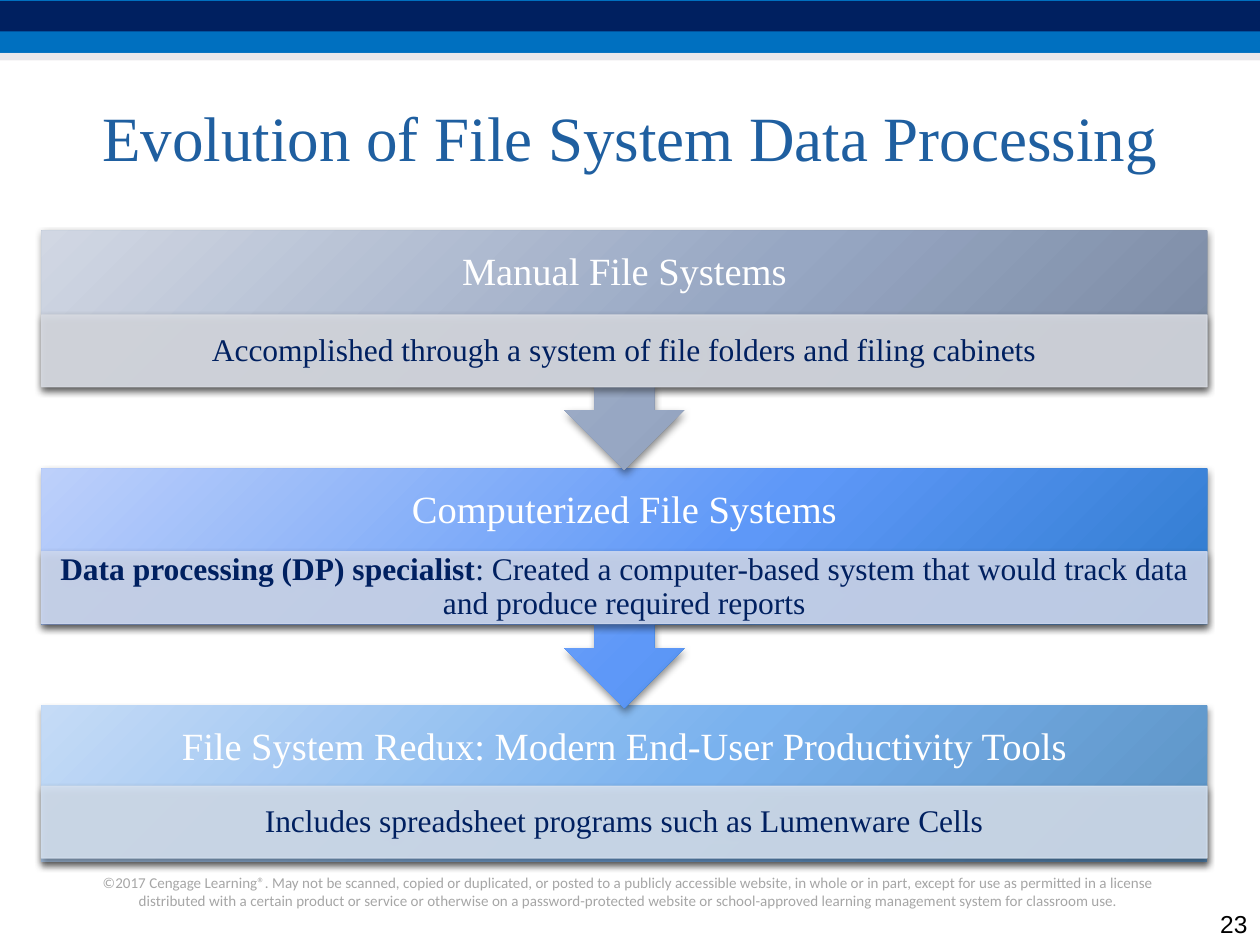
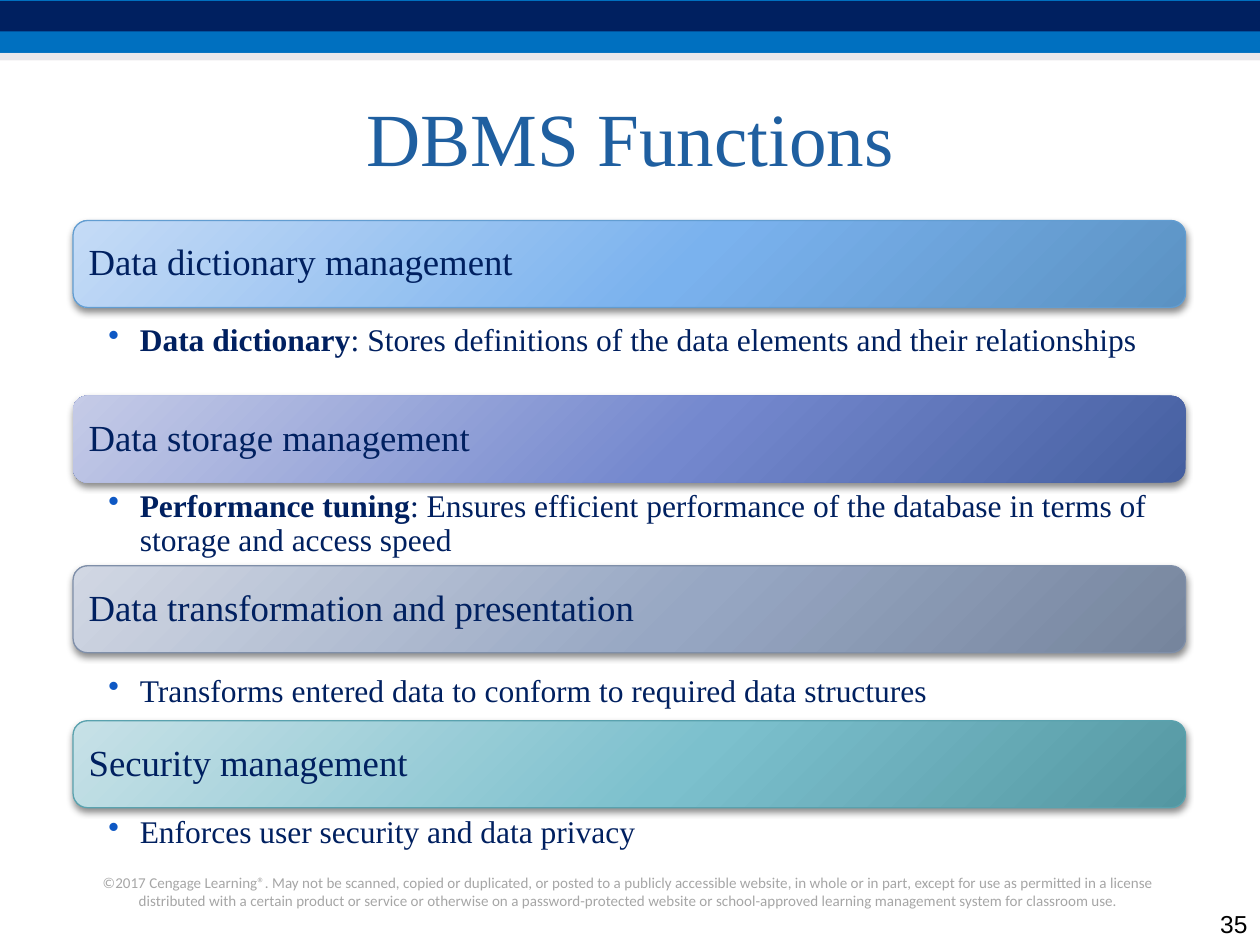
import pptx
import pptx.util
import pptx.oxml
import pptx.oxml.ns
from lxml import etree
from pptx.dml.color import RGBColor
from pptx.enum.shapes import MSO_SHAPE
from pptx.enum.text import MSO_ANCHOR, MSO_AUTO_SIZE, PP_ALIGN
from pptx.util import Inches

qn = pptx.oxml.ns.qn

BLACK = RGBColor(0x00, 0x00, 0x00)
WHITE = RGBColor(0xFF, 0xFF, 0xFF)
NAVY = RGBColor(0x00, 0x20, 0x60)
BAND_BLUE = RGBColor(0x00, 0x70, 0xC0)
BAND_GREY = RGBColor(0xD8, 0xD3, 0xD9)
TITLE_BLUE = RGBColor(0x1F, 0x5F, 0xA0)
BULLET_BLUE = RGBColor(0x0E, 0x58, 0xC4)
FOOTER_GREY = RGBColor(0xA6, 0xA6, 0xA6)
SLATE_EDGE = RGBColor(0x7F, 0x8F, 0xA9)
SKY_EDGE = RGBColor(0x62, 0x9D, 0xD1)
TEAL_EDGE = RGBColor(0x5A, 0xA2, 0xAE)
SLATE_PALE = RGBColor(0xD8, 0xDB, 0xE2)
BLUE_PALE = RGBColor(0xCD, 0xD8, 0xEF)
SKY_PALE = RGBColor(0xD3, 0xDF, 0xEE)

# Gradients: light, middle and dark colour
SLATE = [RGBColor(0xD1, 0xD7, 0xE3), RGBColor(0x97, 0xA7, 0xC3), RGBColor(0x76, 0x85, 0x9D)]
BLUE = [RGBColor(0xBD, 0xD0, 0xFA), RGBColor(0x5E, 0x98, 0xF8), RGBColor(0x26, 0x76, 0xC6)]
SKY = [RGBColor(0xC5, 0xDB, 0xF6), RGBColor(0x7A, 0xB2, 0xEE), RGBColor(0x5B, 0x92, 0xC3)]
INDIGO = [RGBColor(0xC5, 0xCB, 0xE7), RGBColor(0x74, 0x88, 0xCE), RGBColor(0x45, 0x5F, 0xA0)]
TEAL = [RGBColor(0xC7, 0xE1, 0xE7), RGBColor(0x7C, 0xC0, 0xCD), RGBColor(0x54, 0x97, 0xA2)]

SERIF = "Times New Roman"


def add_block(slide, preset, at, fill, line=None, opacity=100, shadow=True):
    """Add a shape filled with one colour or, for a list, a corner-lit gradient."""
    shape = slide.shapes.add_shape(preset, *map(Inches, at))
    properties = shape.element.spPr
    if isinstance(fill, RGBColor):
        shape.fill.solid()
        shape.fill.fore_color.rgb = fill
    else:
        stops = "".join(
            f'<a:gs pos="{place * 1000}"><a:srgbClr val="{color}"/></a:gs>'
            for place, color in zip((0, 55, 100), fill))
        shape.fill.background()
        properties.replace(properties.find(qn("a:noFill")), pptx.oxml.parse_xml(
            f'<a:gradFill {pptx.oxml.ns.nsdecls("a")} rotWithShape="1">'
            f'<a:gsLst>{stops}</a:gsLst><a:path path="circle">'
            '<a:fillToRect l="-40000" t="-90000" r="140000" b="190000"/>'
            '</a:path></a:gradFill>'))
    if line is None:
        shape.line.fill.background()
    else:
        shape.line.color.rgb = line
        shape.line.width = pptx.util.Pt(0.75)
    if opacity < 100:
        for color in properties.iter(qn("a:srgbClr")):
            etree.SubElement(color, qn("a:alpha"), val=str(opacity * 1000))
    shape.shadow.inherit = False
    if shadow:
        outer = etree.SubElement(
            properties.find(qn("a:effectLst")), qn("a:outerShdw"), blurRad="50800",
            dist="25400", dir="5400000", algn="ctr", rotWithShape="0")
        black = etree.SubElement(outer, qn("a:srgbClr"), val=str(BLACK))
        etree.SubElement(black, qn("a:alpha"), val="45000")
    return shape


def add_text(box, text, size, color, font=SERIF, align=PP_ALIGN.CENTER,
             anchor=MSO_ANCHOR.MIDDLE, margins=(0.1, 0.05, 0.1, 0.05),
             spacing=1, after=0, bold="", bullet=False):
    """Fill a box with one paragraph: an optional bold lead-in, then the text."""
    frame = box.text_frame
    frame.word_wrap = True
    frame.auto_size = MSO_AUTO_SIZE.NONE
    frame.vertical_anchor = anchor
    (frame.margin_left, frame.margin_top,
     frame.margin_right, frame.margin_bottom) = map(Inches, margins)
    para = frame.paragraphs[0]
    para.alignment = align
    para.line_spacing = spacing
    para.space_after = pptx.util.Pt(size * after)
    if bullet:
        layout = para._p.get_or_add_pPr()
        layout.set("marL", str(Inches(0.25)))
        layout.set("indent", str(-Inches(0.25)))
        bullet_color = etree.SubElement(layout, qn("a:buClr"))
        etree.SubElement(bullet_color, qn("a:srgbClr"), val=str(BULLET_BLUE))
        etree.SubElement(layout, qn("a:buChar"), char="•")
    for words, heavy in ((bold, True), (text, False)):
        if words:
            span = para.add_run()
            span.text = words
            span.font.name = font
            span.font.size = pptx.util.Pt(size)
            span.font.bold = heavy
            span.font.color.rgb = color


deck = pptx.Presentation()
deck.slide_width = Inches(10)
deck.slide_height = Inches(7.5)
title_layout = deck.slide_layouts[5]

pages = []
for title, title_size, number in (
        ("Evolution of File System Data Processing", 36, "23"),
        ("DBMS Functions", 42.9, "35")):
    page = deck.slides.add_slide(title_layout)
    heading = page.shapes.title
    heading.left, heading.top, heading.width, heading.height = map(
        Inches, (0.5, 0.5, 9, 1.17))
    add_text(heading, title, title_size, TITLE_BLUE)
    number_box = page.shapes.add_textbox(*map(Inches, (9.5, 7.17, 0.5, 0.33)))
    add_text(number_box, number, 14, BLACK, "Arial", PP_ALIGN.RIGHT, MSO_ANCHOR.BOTTOM)
    pages.append(page)
evolution, functions = pages

# Bands and copyright line, moved to the layout so that both slides show them
shared = [
    add_block(evolution, MSO_SHAPE.RECTANGLE, (0, top, 10, height), color,
              opacity=opacity, shadow=False)
    for top, height, color, opacity in (
        (0, 0.42, BAND_BLUE, 100), (0.01, 0.24, NAVY, 100), (0.42, 0.06, BAND_GREY, 50))]
footer = evolution.shapes.add_textbox(*map(Inches, (0.58, 6.88, 8.83, 0.39)))
add_text(footer, "©2017 Cengage Learning®. May not be scanned, copied or duplicated, or posted "
         "to a publicly accessible website, in whole or in part, except for use as permitted "
         "in a license distributed with a certain product or service or otherwise on a "
         "password-protected website or school-approved learning management system for "
         "classroom use.", 8.6, FOOTER_GREY, "Calibri", anchor=MSO_ANCHOR.TOP)
for shape in shared + [footer]:
    title_layout.shapes.element.append(shape.element)

# Three stages, drawn from the last up so that each arrow overlaps the next stage
LEFT, WIDTH = 0.33, 9.25
CALLOUT = MSO_SHAPE.DOWN_ARROW_CALLOUT
for preset, top, height, detail_top, gradient, pale, stage, lead, detail in (
        (MSO_SHAPE.RECTANGLE, 5.6, 1.24, 6.24, SKY, SKY_PALE,
         "File System Redux: Modern End-User Productivity Tools", "",
         "Includes spreadsheet programs such as Lumenware Cells"),
        (CALLOUT, 3.72, 1.9, 4.38, BLUE, BLUE_PALE,
         "Computerized File Systems", "Data processing (DP) specialist",
         ": Created a computer-based system that would track data and produce "
         "required reports"),
        (CALLOUT, 1.83, 1.9, 2.5, SLATE, SLATE_PALE,
         "Manual File Systems", "",
         "Accomplished through a system of file folders and filing cabinets")):
    add_block(evolution, preset, (LEFT, top, WIDTH, height), gradient)
    stage_box = evolution.shapes.add_textbox(*map(Inches, (LEFT, top, WIDTH, 0.67)))
    add_text(stage_box, stage, 22, WHITE, margins=(0.17,) * 4, spacing=0.9, after=0.35)
    detail_box = add_block(evolution, MSO_SHAPE.RECTANGLE, (LEFT, detail_top, WIDTH, 0.57),
                           pale, line=pale, opacity=90)
    add_text(detail_box, detail, 18, NAVY, margins=(0.14, 0.03, 0.14, 0.03),
             spacing=0.9, after=0.35, bold=lead)

# Four functions, each a bar with one bullet below
LEFT, WIDTH = 0.58, 8.83
for top, bullet_top, bullet_height, gradient, edge, function, lead, detail in (
        (1.75, 2.54, 0.63, SKY, SKY_EDGE, "Data dictionary management", "Data dictionary",
         ": Stores definitions of the data elements and their relationships"),
        (3.14, 3.86, 0.63, INDIGO, None, "Data storage management", "Performance tuning",
         ": Ensures efficient performance of the database in terms of storage and "
         "access speed"),
        (4.49, 5.33, 0.47, SLATE, SLATE_EDGE, "Data transformation and presentation", "",
         "Transforms entered data to conform to required data structures"),
        (5.72, 6.45, 0.47, TEAL, TEAL_EDGE, "Security management", "",
         "Enforces user security and data privacy")):
    bar = add_block(functions, MSO_SHAPE.ROUNDED_RECTANGLE, (LEFT, top, WIDTH, 0.69),
                    gradient, line=edge)
    # The preset insets its text by the corner radius; these margins leave 0.12 in all
    add_text(bar, function, 21, NAVY, align=PP_ALIGN.LEFT, margins=(0.09,) * 4,
             spacing=0.9, after=0.35)
    bullet_box = functions.shapes.add_textbox(
        *map(Inches, (LEFT, bullet_top, WIDTH, bullet_height)))
    add_text(bullet_box, detail, 18, NAVY, align=PP_ALIGN.LEFT, anchor=MSO_ANCHOR.TOP,
             margins=(0.28, 0.03, 0.16, 0.03), spacing=0.9, after=0.2, bold=lead,
             bullet=True)

deck.save("out.pptx")
